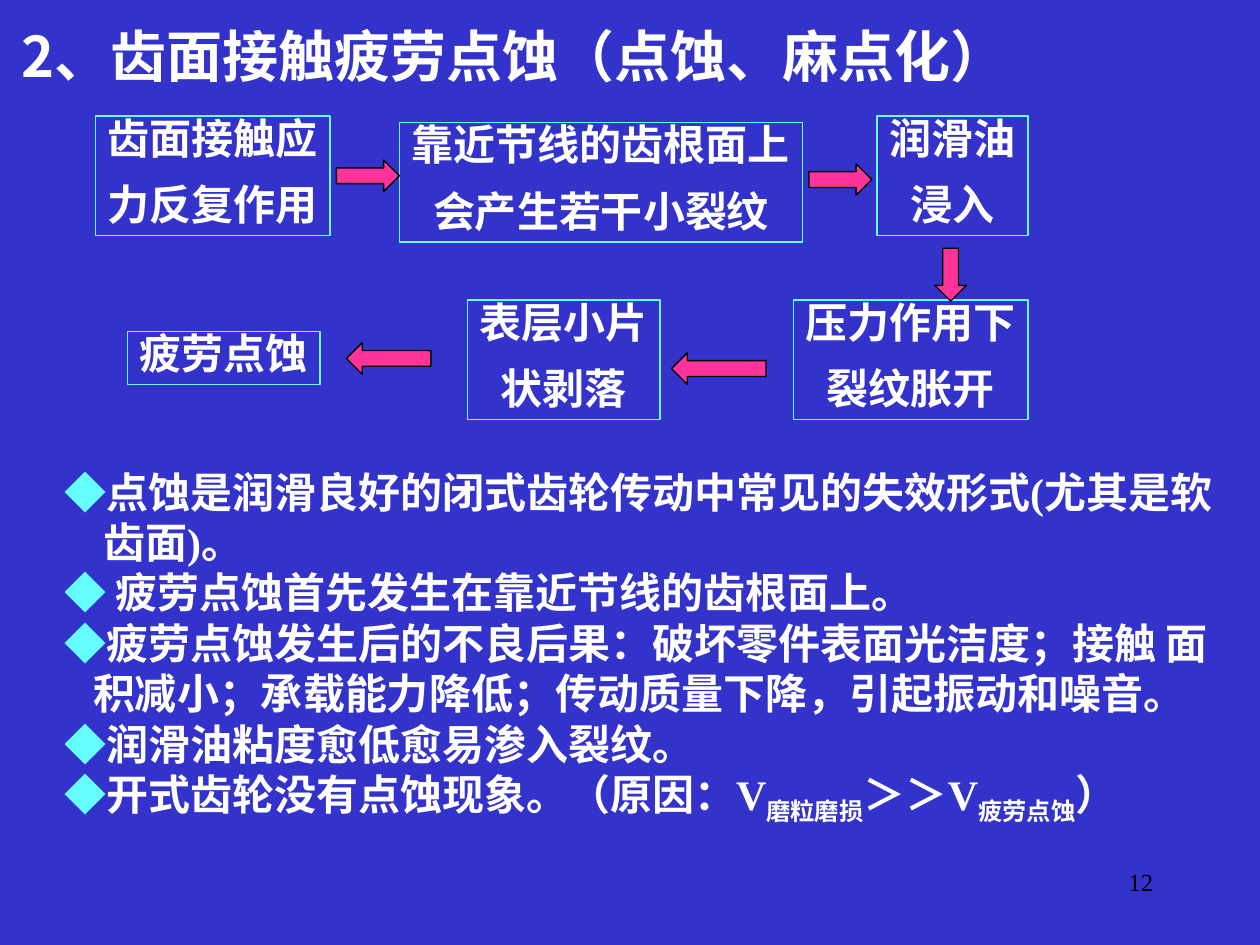
from lxml import etree
from pptx import Presentation
from pptx.dml.color import RGBColor
from pptx.enum.shapes import MSO_SHAPE
from pptx.enum.text import MSO_ANCHOR, PP_ALIGN
from pptx.oxml.ns import qn
from pptx.util import Inches, Pt

LEFT, CENTER, RIGHT = PP_ALIGN.LEFT, PP_ALIGN.CENTER, PP_ALIGN.RIGHT
EAST, WEST, SOUTH = MSO_SHAPE.RIGHT_ARROW, MSO_SHAPE.LEFT_ARROW, MSO_SHAPE.DOWN_ARROW
SERIF, SANS = "Times New Roman", "Noto Sans CJK SC"
BLUE, CYAN, PINK, WHITE, BLACK = "3333CC", "66FFFF", "FF3399", "FFFFFF", "000000"
ARROW_WIDTH = 0.25

TITLE = "2、齿面接触疲劳点蚀（点蚀、麻点化）"
PAGE_NUMBER = "12"

# Flow steps: lines, (left, top, width, height)
STEPS = [
    (["齿面接触应", "力反复作用"], (0.76, 0.92, 1.86, 0.95)),
    (["靠近节线的齿根面上", "会产生若干小裂纹"], (3.17, 0.97, 3.2, 0.95)),
    (["润滑油", "浸入"], (6.96, 0.92, 1.2, 0.95)),
    (["压力作用下", "裂纹胀开"], (6.3, 2.38, 1.86, 0.95)),
    (["表层小片", "状剥落"], (3.71, 2.38, 1.53, 0.95)),
    (["疲劳点蚀"], (1.01, 2.63, 1.53, 0.42)),
]
# Arrows: direction, left, top, length
ARROWS = [
    (EAST, 2.67, 1.27, 0.5),
    (EAST, 6.42, 1.3, 0.5),
    (SOUTH, 7.42, 1.97, 0.42),
    (WEST, 5.33, 2.8, 0.75),
    (WEST, 2.75, 2.72, 0.67),
]
# Notes: left indent, runs of (text, style)
MARK, PLAIN, SUB = "mark", "plain", "sub"
NOTES = [
    (0, [("◆", MARK), ("点蚀是润滑良好的闭式齿轮传动中常见的失效形式(尤其是软", PLAIN)]),
    (0.31, [("齿面)。", PLAIN)]),
    (0, [("◆ ", MARK), ("疲劳点蚀首先发生在靠近节线的齿根面上。", PLAIN)]),
    (0, [("◆", MARK), ("疲劳点蚀发生后的不良后果：破坏零件表面光洁度；接触 面", PLAIN)]),
    (0.23, [("积减小；承载能力降低；传动质量下降，引起振动和噪音。", PLAIN)]),
    (0, [("◆", MARK), ("润滑油粘度愈低愈易渗入裂纹。", PLAIN)]),
    (0, [("◆", MARK), ("开式齿轮没有点蚀现象。（原因：V", PLAIN), ("磨粒磨损", SUB),
         ("＞＞V", PLAIN), ("疲劳点蚀", SUB), ("）", PLAIN)]),
]


def color(value):
    return RGBColor.from_string(value)


def add_run(para, text, size=24, fill=WHITE, font=SERIF, bold=True, baseline=0):
    span = para.add_run()
    span.text = text
    span.font.size, span.font.name, span.font.bold = Pt(size), font, bold
    span.font.color.rgb = color(fill)
    properties = span.font._element
    etree.SubElement(properties, qn("a:ea")).set("typeface", SANS)
    if baseline:
        properties.set("baseline", str(baseline))


def add_paragraph(frame, index, align=LEFT):
    para = frame.add_paragraph() if index else frame.paragraphs[0]
    para.alignment = align
    return para


def add_text_box(slide, place, wrap=True):
    frame = slide.shapes.add_textbox(*map(Inches, place)).text_frame
    frame.word_wrap = wrap
    return frame


def add_shape(slide, kind, place, line, fill=None):
    shape = slide.shapes.add_shape(kind, *map(Inches, place))
    shape.shadow.inherit = False
    shape.line.color.rgb = color(line)
    shape.line.width = Pt(0.75)
    if fill:
        shape.fill.solid()
        shape.fill.fore_color.rgb = color(fill)
    else:
        shape.fill.background()
    return shape


def add_step(slide, lines, place):
    frame = add_shape(slide, MSO_SHAPE.RECTANGLE, place, CYAN).text_frame
    frame.word_wrap = False
    frame.vertical_anchor = MSO_ANCHOR.TOP
    for index, line in enumerate(lines):
        para = add_paragraph(frame, index, CENTER)
        para.line_spacing = 0.8
        if index:
            para.space_before = Pt(15)
        add_run(para, line)


def add_arrow(slide, kind, left, top, length):
    size = (ARROW_WIDTH, length) if kind == SOUTH else (length, ARROW_WIDTH)
    arrow = add_shape(slide, kind, (left, top, *size), BLACK, PINK)
    arrow.adjustments[0] = 0.5
    # Every arrowhead is half as long as the full arrow is wide
    arrow.adjustments[1] = 0.5


def add_notes(slide):
    frame = add_text_box(slide, (0.41, 3.65, 9.42, 3.76))
    for index, (indent, spans) in enumerate(NOTES):
        para = add_paragraph(frame, index)
        para._p.get_or_add_pPr().set("marL", str(Inches(indent)))
        for text, style in spans:
            add_run(para, text, fill=CYAN if style == MARK else WHITE,
                    baseline=-25000 if style == SUB else 0)


def main():
    deck = Presentation()
    deck.slide_width, deck.slide_height = Inches(10), Inches(7.5)
    slide = deck.slides.add_slide(deck.slide_layouts[6])
    slide.background.fill.solid()
    slide.background.fill.fore_color.rgb = color(BLUE)

    # Page number and title
    page = add_text_box(slide, (7.17, 6.83, 2.08, 0.5))
    add_run(add_paragraph(page, 0, RIGHT), PAGE_NUMBER, 14, BLACK, bold=False)
    title = add_text_box(slide, (0.07, 0.12, 8.14, 0.64), wrap=False)
    add_run(add_paragraph(title, 0), TITLE, 32, font=SANS)

    # Notes below the flow chart
    add_notes(slide)

    # Flow chart
    for lines, place in STEPS:
        add_step(slide, lines, place)
    for arrow in ARROWS:
        add_arrow(slide, *arrow)

    deck.save("out.pptx")


if __name__ == "__main__":
    main()
